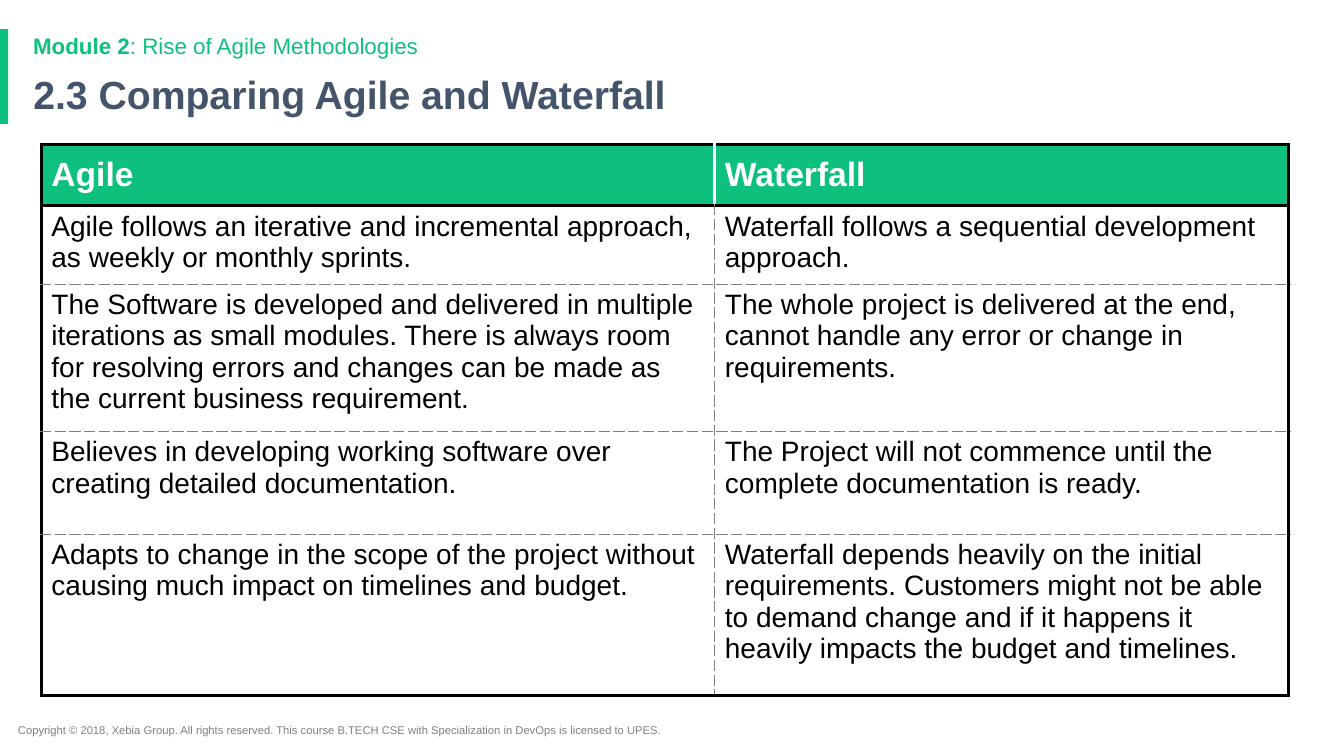
"""Build the slide that compares Agile and Waterfall in a table."""
from lxml import etree
from pptx import Presentation
from pptx.dml.color import RGBColor
from pptx.enum.shapes import MSO_SHAPE
from pptx.enum.text import MSO_ANCHOR, MSO_AUTO_SIZE
from pptx.oxml.ns import qn
from pptx.util import Inches, Pt

RECT = MSO_SHAPE.RECTANGLE
MIDDLE, TOP = MSO_ANCHOR.MIDDLE, MSO_ANCHOR.TOP
FIXED = MSO_AUTO_SIZE.NONE
TITLE_ONLY = 5

HUES = {"green": "0EC07D", "slate": "44546A", "grey": "7F7F7F",
        "black": "000000", "white": "FFFFFF"}
SOLID = ("black", 2.25, "solid")
SPLIT = ("white", 2.25, "solid")
DASH = ("grey", 1, "dash")

COLS = [6.68, 5.69]
ROWS = [0.61, 0.78, 1.46, 1.02, 1.6]
CELLS = [
    ("Agile", "Waterfall"),
    ("Agile follows an iterative and incremental approach, as weekly or monthly sprints.",
     "Waterfall follows a sequential development approach."),
    ("The Software is developed and delivered in multiple iterations as small modules. "
     "There is always room for resolving errors and changes can be made as the current "
     "business requirement.",
     "The whole project is delivered at the end, cannot handle any error or change in "
     "requirements."),
    ("Believes in developing working software over creating detailed documentation.",
     "The Project will not commence until the complete documentation is ready."),
    ("Adapts to change in the scope of the project without causing much impact on "
     "timelines and budget.",
     "Waterfall depends heavily on the initial requirements. Customers might not be able "
     "to demand change and if it happens it heavily impacts the budget and timelines."),
]


def write(frame, parts, size, hue, space=1.0):
    """Fill a frame with one paragraph of (text, bold) parts."""
    frame.word_wrap = True
    para = frame.paragraphs[0]
    para.line_spacing = space
    for text, bold in parts:
        run = para.add_run()
        run.text = text
        font = run.font
        font.name, font.size, font.bold = "Arial", Pt(size), bold
        font.color.rgb = RGBColor.from_string(HUES[hue])


def edge(cell, side, style):
    """Draw one border of a cell."""
    hue, width, dash = style
    line = etree.SubElement(cell._tc.get_or_add_tcPr(), qn("a:ln" + side), w=str(Pt(width)))
    fill = etree.SubElement(line, qn("a:solidFill"))
    etree.SubElement(fill, qn("a:srgbClr"), val=HUES[hue])
    etree.SubElement(line, qn("a:prstDash"), val=dash)


deck = Presentation()
deck.slide_width, deck.slide_height = Inches(13.33), Inches(7.5)
slide = deck.slides.add_slide(deck.slide_layouts[TITLE_ONLY])
shapes = slide.shapes

bar = shapes.add_shape(RECT, 0, Inches(0.29), Inches(0.08), Inches(0.94))
bar.shadow.inherit = False
bar.fill.solid()
bar.fill.fore_color.rgb = RGBColor.from_string(HUES["green"])
bar.line.fill.background()

title = shapes.title
module = shapes.add_textbox(0, 0, 0, 0)
notice = shapes.add_textbox(0, 0, 0, 0)
TEXTS = [
    (title, (0.23, 0.69, 13.1, 0.54), [("2.3 Comparing Agile and Waterfall", True)],
     28, "slate", 0.9),
    (module, (0.23, 0.3, 11.5, 0.33),
     [("Module 2", True), (": Rise of Agile Methodologies", False)], 16, "green", 0.9),
    (notice, (0.08, 7.12, 7.13, 0.24),
     [("Copyright © 2018, Xebia Group. All rights reserved. This course B.TECH CSE with "
       "Specialization in DevOps is licensed to UPES.", False)], 8, "grey", 1.0),
]
for box, place, parts, size, hue, space in TEXTS:
    box.left, box.top, box.width, box.height = map(Inches, place)
    frame = box.text_frame
    frame.auto_size = FIXED
    frame.vertical_anchor = MIDDLE
    write(frame, parts, size, hue, space)
title.text_frame.paragraphs[0].alignment = 1

grid = shapes.add_table(len(ROWS), len(COLS), Inches(0.41), Inches(1.43),
                        Inches(sum(COLS)), Inches(sum(ROWS))).table
grid.horz_banding = False
for col, width in zip(grid.columns, COLS):
    col.width = Inches(width)
for row, height in zip(grid.rows, ROWS):
    row.height = Inches(height)

for r, texts in enumerate(CELLS):
    head = r == 0
    inner = SPLIT if head else DASH
    for c, text in enumerate(texts):
        cell = grid.cell(r, c)
        edge(cell, "L", SOLID if c == 0 else inner)
        edge(cell, "R", SOLID if c == len(COLS) - 1 else inner)
        edge(cell, "T", SOLID if r <= 1 else DASH)
        edge(cell, "B", SOLID if r in (0, len(ROWS) - 1) else DASH)
        cell.vertical_anchor = MIDDLE if head else TOP
        if head:
            cell.fill.solid()
            cell.fill.fore_color.rgb = RGBColor.from_string(HUES["green"])
        else:
            cell.fill.background()
        write(cell.text_frame, [(text, head)], 24 if head else 20,
              "white" if head else "black")

deck.save("out.pptx")
